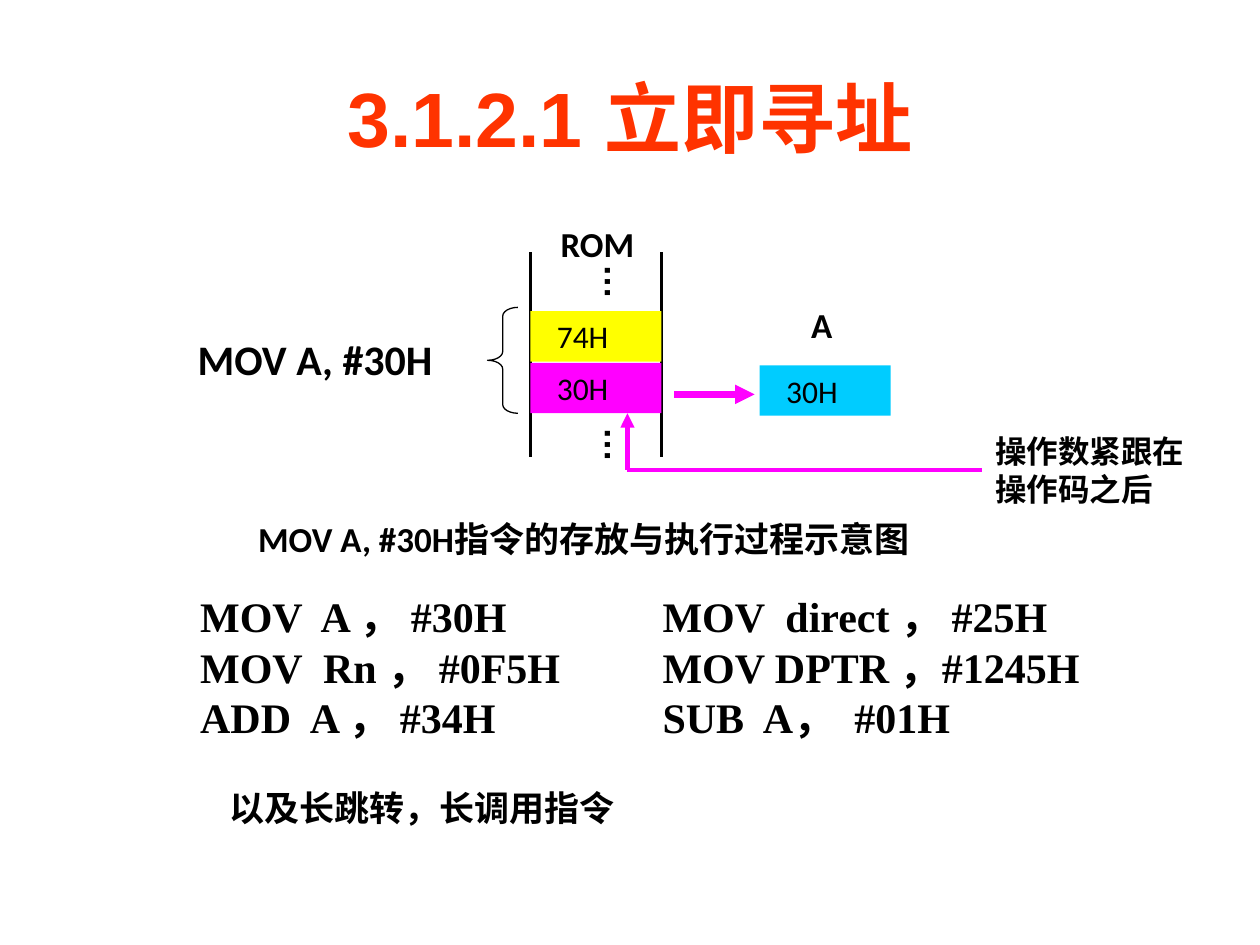
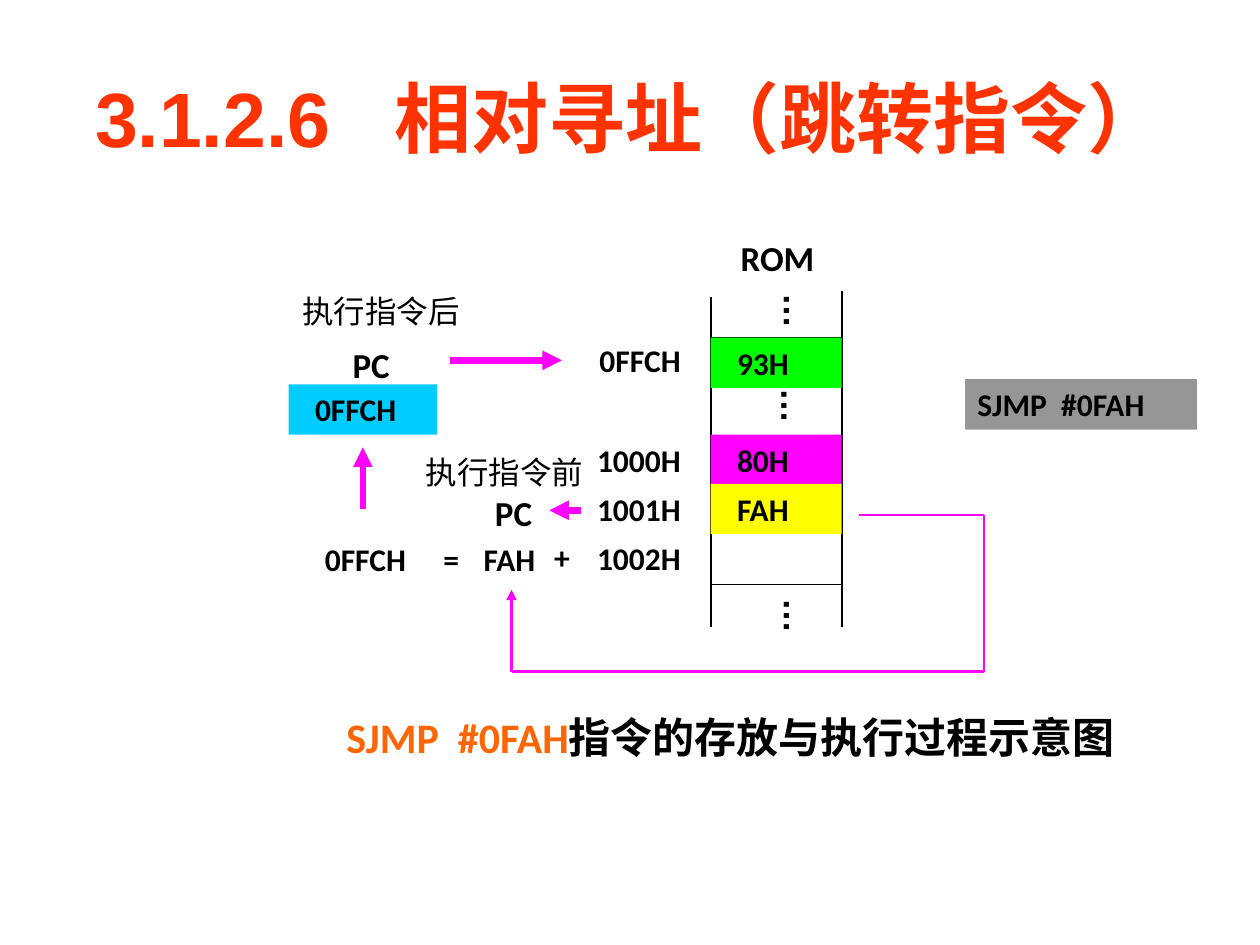
from lxml import etree
from pptx import Presentation
from pptx.dml.color import RGBColor
from pptx.enum import shapes, text
from pptx.oxml import ns
from pptx.util import Inches, Pt

# Shared look
BLACK = RGBColor(0x00, 0x00, 0x00)
TITLE_RED = RGBColor(0xFF, 0x33, 0x00)
ORANGE = RGBColor(0xFF, 0x66, 0x00)
YELLOW = RGBColor(0xFF, 0xFF, 0x00)
MAGENTA = RGBColor(0xFF, 0x00, 0xFF)
CYAN = RGBColor(0x00, 0xCC, 0xFF)
GREEN = RGBColor(0x00, 0xFF, 0x00)
GREY = RGBColor(0x96, 0x96, 0x96)

CELL_W, CELL_H = 1.04, 0.4
CELL_INDENT = 0.21
THIN = 1.25


def add_run(p, content, size=18, bold=True, color=BLACK, font="Calibri", spacing=0):
    """Add a run; spacing is extra points after each character."""
    r = p.add_run()
    r.text = content
    r.font.size, r.font.bold, r.font.name = Pt(size), bold, font
    r.font.color.rgb = color
    if spacing:
        r.font._element.set("spc", str(spacing * 100))


def write_text(tf, content, tab=None, **fmt):
    """Write one paragraph per line; tab is the position of a left tab stop."""
    for i, line in enumerate(content.split("\n")):
        p = tf.paragraphs[0] if i == 0 else tf.add_paragraph()
        if tab:
            stops = etree.SubElement(p._p.get_or_add_pPr(), ns.qn("a:tabLst"))
            etree.SubElement(stops, ns.qn("a:tab"), pos=str(Inches(tab)), algn="l")
        add_run(p, line, **fmt)


def set_margins(tf, left, top, right, bottom):
    tf.margin_left, tf.margin_top = Inches(left), Inches(top)
    tf.margin_right, tf.margin_bottom = Inches(right), Inches(bottom)


def add_label(s, content, x, y, w, h=0.4, **fmt):
    tf = s.shapes.add_textbox(Inches(x), Inches(y), Inches(w), Inches(h)).text_frame
    tf.word_wrap = True
    set_margins(tf, 0.1, 0.05, 0, 0.05)
    write_text(tf, content, **fmt)
    return tf


def add_title(s, number, name, gap=0):
    """Centred title; gap widens the space after the number, in points."""
    style = dict(size=44, font="Arial", color=TITLE_RED)
    tf = add_label(s, number, 0.5, 0.3, 9, 1.25, **style)
    set_margins(tf, 0.1, 0.05, 0.1, 0.05)
    tf.vertical_anchor = text.MSO_ANCHOR.MIDDLE
    p = tf.paragraphs[0]
    p.alignment = text.PP_ALIGN.CENTER
    add_run(p, " ", spacing=gap, **style)
    add_run(p, name, **style)


def add_dots(s, x, y):
    """Vertical ellipsis for memory that is not shown."""
    tf = add_label(s, "…", x, y, 0.53, 0.38, size=20, font="Arial")
    set_margins(tf, 0.05, 0.1, 0.05, 0.1)
    tf.word_wrap = False
    tf.auto_size = text.MSO_AUTO_SIZE.SHAPE_TO_FIT_TEXT
    tf._txBody.bodyPr.set("vert", "eaVert")


def add_cell(s, content, x, y, fill, w=CELL_W, indent=CELL_INDENT, **fmt):
    sp = s.shapes.add_shape(shapes.MSO_SHAPE.RECTANGLE, Inches(x), Inches(y),
                            Inches(w), Inches(CELL_H))
    sp.shadow.inherit = False
    sp.fill.solid()
    sp.fill.fore_color.rgb = fill
    sp.line.fill.background()
    tf = sp.text_frame
    set_margins(tf, indent, 0.05, 0.1, 0.05)
    tf.vertical_anchor = text.MSO_ANCHOR.TOP
    write_text(tf, content, **fmt)
    tf.paragraphs[0].alignment = text.PP_ALIGN.LEFT


def add_brace(s, x, y, w, h):
    sp = s.shapes.add_shape(shapes.MSO_SHAPE.LEFT_BRACE, Inches(x), Inches(y),
                            Inches(w), Inches(h))
    sp.shadow.inherit = False
    sp.adjustments[0] = 0.29
    sp.fill.background()
    sp.line.color.rgb = BLACK
    sp.line.width = Pt(0.75)


def add_path(s, *points, color=BLACK, width=THIN, arrow=False):
    """Join the points by straight lines, with an arrowhead at the last one."""
    for start, end in zip(points, points[1:]):
        c = s.shapes.add_connector(shapes.MSO_CONNECTOR.STRAIGHT,
                                   *(Inches(v) for v in start + end))
        c.line.color.rgb = color
        c.line.width = Pt(width)
        if arrow and end == points[-1]:
            etree.SubElement(c.line._get_or_add_ln(), ns.qn("a:tailEnd"), type="triangle")
        etree.SubElement(c._element.spPr, ns.qn("a:effectLst"))


def add_arrow(s, *points, width=3.75):
    add_path(s, *points, color=MAGENTA, width=width, arrow=True)


def immediate_addressing(s):
    add_title(s, "3.1.2.1", "立即寻址")

    # Program memory
    rom_x = 4.21
    for x in (rom_x, 5.25):
        add_path(s, (x, 2), (x, 3.63))
    add_label(s, "ROM", 4.35, 1.72, 0.79, 0.44, size=20)
    add_cell(s, "74H", rom_x, 2.47, YELLOW, bold=False)
    add_cell(s, "30H", rom_x, 2.88, MAGENTA, bold=False)
    for y in (2, 3.29):
        add_dots(s, 4.6, y)
    add_label(s, "MOV A, #30H", 1.47, 2.6, 2.06, 0.5, size=24)
    add_brace(s, 3.87, 2.44, 0.24, 0.84)

    # Accumulator
    add_label(s, "A", 6.34, 2.36, 0.37, 0.44, size=20)
    add_cell(s, "30H", 6.03, 2.9, CYAN, bold=False)
    add_arrow(s, (5.35, 3.13), (5.99, 3.13))

    # Remark on the operand
    add_arrow(s, (7.79, 3.73), (4.98, 3.73), (4.98, 3.28), width=2.75)
    add_label(s, "操作数紧跟在\n操作码之后", 7.8, 3.38, 1.7, 0.7)
    add_label(s, "MOV A, #30H指令的存放与执行过程示意图", 1.95, 4.06, 5.44, 0.44, size=20)

    # Further instructions
    add_label(s, "MOV  A ， #30H\tMOV  direct ， #25H\n"
                 "MOV  Rn ， #0F5H\tMOV DPTR ，#1245H\n"
                 "ADD  A ， #34H\tSUB  A，  #01H",
              1.49, 4.64, 7.38, 1.3, tab=3.67, size=24, font="Times New Roman")
    add_label(s, "以及长跳转，长调用指令", 1.72, 6.19, 3.26, 0.44, size=20)


def relative_addressing(s):
    add_title(s, "3.1.2.6", "相对寻址（跳转指令）", gap=24)
    add_cell(s, "SJMP  #0FAH", 7.66, 3.01, GREY, w=1.84, indent=0.1)

    # Program memory
    rom_x, rom_right = 5.64, 6.68
    add_path(s, (rom_right, 2.31), (rom_right, 4.98))
    add_path(s, (rom_x, 2.36), (rom_x, 4.98))
    for y in (2.68, 3.04, 4.64):
        add_path(s, (rom_x, y), (rom_right, y), width=0.75)
    add_label(s, "ROM", 5.78, 1.83, 0.79, 0.44, size=20)
    for content, y, fill in (("93H", 2.68, GREEN), ("80H", 3.45, MAGENTA),
                             ("FAH", 3.84, YELLOW)):
        add_cell(s, content, rom_x, y, fill)
    for x, y in ((6.02, 2.23), (6, 2.98), (6.02, 4.65)):
        add_dots(s, x, y)

    # Addresses
    add_label(s, "0FFCH", 4.66, 2.66, 0.84)
    for i in range(3):
        add_label(s, f"100{i}H", 4.64, 3.45 + 0.39 * i, 0.86)

    # Program counter after and before the jump
    add_label(s, "执行指令后", 2.3, 2.27, 1.45, bold=False)
    add_label(s, "执行指令前", 3.28, 3.55, 1.45, bold=False)
    for x, y in ((2.7, 2.68), (3.83, 3.85)):
        add_label(s, "PC", x, y, 0.49, 0.44, size=20)
    add_cell(s, "0FFCH", 2.29, 3.05, CYAN, w=1.18)

    # Sum that gives the target address
    for content, x, w in (("0FFCH", 2.48, 0.84), ("=", 3.42, 0.32),
                          ("FAH", 3.74, 0.62), ("+", 4.3, 0.32)):
        add_label(s, content, x, 4.22 if content == "+" else 4.24, w)

    # Data flow
    add_arrow(s, (2.88, 4.04), (2.88, 3.55))
    add_arrow(s, (3.57, 2.86), (4.46, 2.86))
    add_arrow(s, (4.61, 4.05), (4.36, 4.05))
    add_arrow(s, (6.82, 4.09), (7.81, 4.09), (7.81, 5.33), (4.06, 5.33), (4.06, 4.68),
              width=THIN)

    # Caption
    tf = add_label(s, "SJMP  #0FAH", 2.65, 5.6, 6.4, 0.5, size=24, color=ORANGE)
    add_run(tf.paragraphs[0], "指令的存放与执行过程示意图", size=24)


def main():
    prs = Presentation()
    prs.slide_width, prs.slide_height = Inches(10), Inches(7.5)
    for build in (immediate_addressing, relative_addressing):
        build(prs.slides.add_slide(prs.slide_layouts[6]))
    prs.save("out.pptx")


if __name__ == "__main__":
    main()
